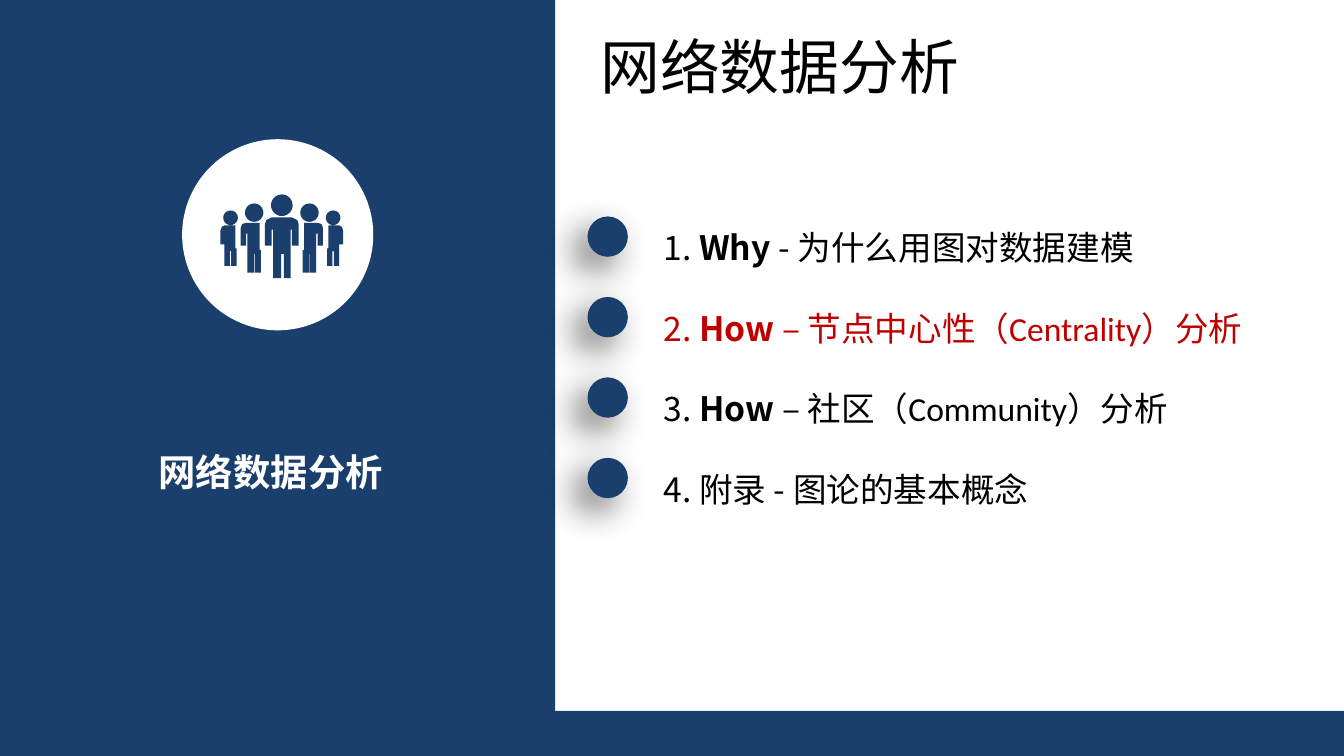
import math

from lxml import etree
from pptx import Presentation
from pptx.dml.color import RGBColor
from pptx.enum.shapes import MSO_SHAPE
from pptx.enum.text import MSO_AUTO_SIZE, PP_ALIGN
from pptx.oxml.ns import qn
from pptx.util import Pt

RECTANGLE, OVAL = MSO_SHAPE.RECTANGLE, MSO_SHAPE.OVAL
LEFT, CENTER = PP_ALIGN.LEFT, PP_ALIGN.CENTER
FIT_SHAPE = MSO_AUTO_SIZE.SHAPE_TO_FIT_TEXT

NAVY = RGBColor(0x1A, 0x3F, 0x6C)
WHITE = RGBColor(0xFF, 0xFF, 0xFF)
BLACK = RGBColor(0, 0, 0)
RED = RGBColor(0xC0, 0, 0)
CJK_FONT = "Noto Sans CJK SC"
LATIN_FONT = "Calibri"

SLIDE_WIDTH, SLIDE_HEIGHT = 720, 405
TOPIC = "网络数据分析"
AGENDA = [
    (BLACK, [("1. ",), ("Why ", True), ("- 为什么用图对数据建模",)]),
    (RED, [("2. ",), ("How ", True), ("– 节点中心性（",),
           ("Centrality", False, LATIN_FONT), ("）分析",)]),
    (BLACK, [("3. ",), ("How ", True), ("– 社区（",),
             ("Community", False, LATIN_FONT), ("）分析",)]),
    (BLACK, [("4. 附录 - 图论的基本概念",)]),
]

PEOPLE_WIDTH = 91
OUTER_BODY = [(12, 40), (12, 53), (8, 53), (8, 42), (7, 42), (7, 53), (3, 53), (3, 37),
              (0, 37), (0, 27), (1, 24), (3, 23), (11, 23), (11, 40)]
MIDDLE_BODY = [(30, 41), (30, 58), (25.5, 58), (25.5, 44), (25, 44), (25, 58), (20, 58),
               (20, 29), (19, 29), (19, 38), (15, 38), (15, 25), (16, 22), (19, 21),
               (29, 21), (29, 41)]
CENTER_BODY = [(53, 38), (53, 26), (52, 26), (52, 62), (47, 62), (47, 44), (45, 44),
               (45, 62), (39, 62), (39, 26), (38, 26), (38, 38), (33, 38), (33, 22),
               (34, 19), (38, 17), (53, 17), (57, 19), (58, 22), (58, 38)]


def add_filled(shapes, preset, left, top, width, height, color):
    shape = shapes.add_shape(preset, Pt(left), Pt(top), Pt(width), Pt(height))
    shape.shadow.inherit = False
    shape.fill.solid()
    shape.fill.fore_color.rgb = color
    shape.line.fill.background()
    return shape


def write_text(paragraph, text, size=18, color=BLACK, bold=False, font=CJK_FONT):
    run = paragraph.add_run()
    run.text = text
    run.font.size = Pt(size)
    run.font.bold = bold
    run.font.color.rgb = color
    run.font.name = font
    east_asian = etree.SubElement(run.font._element, qn("a:ea"))
    east_asian.set("typeface", font)


def add_text_frame(slide, left, top, width, height, wrap=True, align=LEFT):
    frame = slide.shapes.add_textbox(Pt(left), Pt(top), Pt(width), Pt(height)).text_frame
    frame.word_wrap = wrap
    frame.auto_size = FIT_SHAPE
    frame.paragraphs[0].alignment = align
    return frame


def add_soft_shadow(shape):
    effects = shape._element.spPr.find(qn("a:effectLst"))
    shadow = etree.SubElement(effects, qn("a:outerShdw"), blurRad=str(Pt(20)),
                              dist=str(Pt(10)), dir="8100000", algn="tr", rotWithShape="0")
    color = etree.SubElement(shadow, qn("a:srgbClr"), val=str(BLACK))
    etree.SubElement(color, qn("a:alpha"), val="60000")


def head(center_x, center_y, radius):
    angles = [math.tau * step / 32 for step in range(32)]
    return [(center_x + radius * math.cos(angle), center_y + radius * math.sin(angle))
            for angle in angles]


def add_people(shapes, left, top, width):
    side = [OUTER_BODY, MIDDLE_BODY, head(7.5, 17.3, 5.4), head(25, 13.5, 6.8)]
    mirrored = [[(PEOPLE_WIDTH - x, y) for x, y in outline] for outline in side]
    outlines = side + mirrored + [CENTER_BODY, head(45.5, 8, 8)]
    unit = Pt(width) / PEOPLE_WIDTH
    scaled = [[(x * unit, y * unit) for x, y in outline] for outline in outlines]
    builder = shapes.build_freeform(*scaled[0][0])
    builder.add_line_segments(scaled[0][1:])
    for outline in scaled[1:]:
        builder.move_to(*outline[0])
        builder.add_line_segments(outline[1:])
    people = builder.convert_to_shape(Pt(left), Pt(top))
    people.shadow.inherit = False
    people.fill.solid()
    people.fill.fore_color.rgb = NAVY
    people.line.fill.background()


def add_topic_panel(slide, left, top, width, height):
    add_filled(slide.shapes, RECTANGLE, left, top, width, height, NAVY)
    badge = slide.shapes.add_group_shape().shapes
    add_filled(badge, OVAL, left + 97.6, top + 74.6, 102.4, 102.4, WHITE)
    add_people(badge, left + 118.1, top + 104.2, 65.8)
    frame = add_text_frame(slide, left + 38.9, top + 240.5, 212.4, 24.2, align=CENTER)
    frame.margin_left = frame.margin_right = frame.margin_top = frame.margin_bottom = 0
    write_text(frame.paragraphs[0], TOPIC, size=20, color=WHITE, bold=True)


def add_title(slide, left, top, width, height):
    frame = add_text_frame(slide, left, top, width, height, wrap=False)
    write_text(frame.paragraphs[0], TOPIC, size=32)


def add_agenda(slide, left, top, width, height):
    frame = add_text_frame(slide, left + 34, top, width - 34, height)
    for index, (color, runs) in enumerate(AGENDA):
        paragraph = frame.paragraphs[0] if index == 0 else frame.add_paragraph()
        paragraph.line_spacing = 2.0
        for text, *style in runs:
            write_text(paragraph, text, color=color, **dict(zip(("bold", "font"), style)))
    for index in range(len(AGENDA)):
        dot = add_filled(slide.shapes, OVAL, left + 0.3, top + 19.5 + 43.1 * index,
                         21.6, 21.6, NAVY)
        add_soft_shadow(dot)


def main():
    deck = Presentation()
    deck.slide_width, deck.slide_height = Pt(SLIDE_WIDTH), Pt(SLIDE_HEIGHT)
    slide = deck.slides.add_slide(deck.slide_layouts[6])
    add_filled(slide.shapes, RECTANGLE, 0, 380.8, SLIDE_WIDTH, 24.2, NAVY)
    add_topic_panel(slide, 0, 0, 297.4, SLIDE_HEIGHT)
    add_title(slide, 314.6, 12.2, 208, 46)
    add_agenda(slide, 314.5, 96.5, 397.6, 181.4)
    deck.save("out.pptx")


if __name__ == "__main__":
    main()
